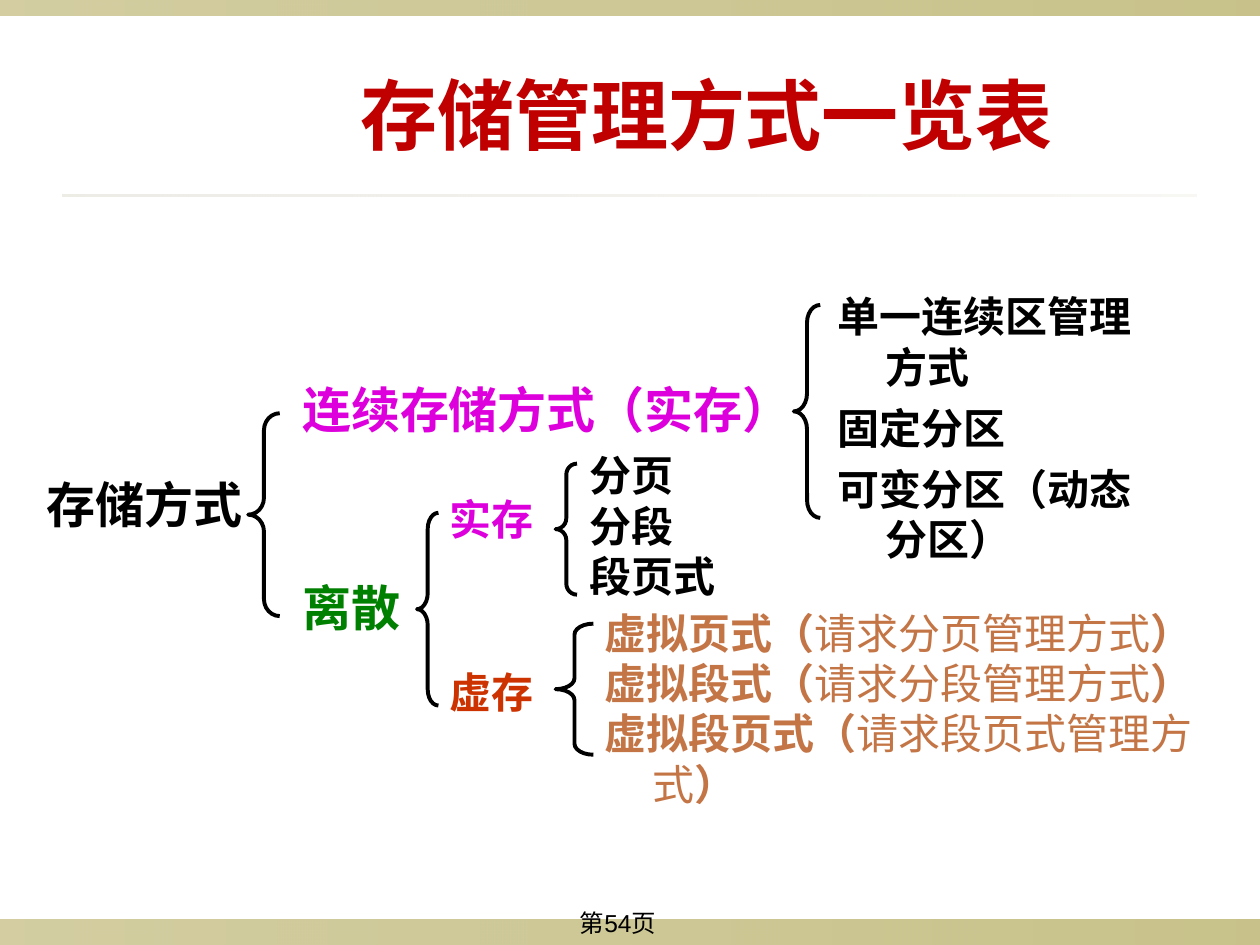
"""Build a slide that charts storage management methods as a bracketed tree."""
from dataclasses import dataclass

from lxml import etree
from pptx import Presentation
from pptx.dml.color import RGBColor
from pptx.enum import shapes, text
from pptx.oxml.ns import qn
from pptx.util import Inches, Pt


@dataclass(frozen=True)
class Theme:
    olive: str = "918415"
    rule: str = "DCD9CC"
    red: str = "C00000"
    black: str = "000000"
    magenta: str = "DD00DD"
    green: str = "008000"
    rust: str = "CC3300"
    tan: str = "C47546"
    sans: str = "Noto Sans CJK SC"
    serif: str = "Times New Roman"
    title_font: str = "Roboto"
    footer_font: str = "Arial"
    title: int = 44
    branch: int = 28
    leaf: int = 24
    footer: int = 14
    brace_line: float = 2.25
    hang: float = 0.38


T = Theme()


@dataclass(frozen=True)
class Box:
    left: float
    top: float
    width: float
    height: float

    def emu(self) -> tuple:
        return tuple(Inches(v) for v in (self.left, self.top, self.width, self.height))


@dataclass(frozen=True)
class Band:
    box: Box
    color: str
    opacity: tuple[int, int]


@dataclass(frozen=True)
class Run:
    text: str
    font: str = T.sans
    bold: bool = True


@dataclass(frozen=True)
class Label:
    box: Box
    lines: tuple[tuple[Run, ...], ...]
    size: int
    color: str = T.black
    spacing: float = 1.0
    gap: float = 0


def lines(*words: str) -> tuple[tuple[Run, ...], ...]:
    return tuple((Run(w),) for w in words)


def request_line(name: str, method: str) -> tuple[Run, ...]:
    return Run(f"{name}（"), Run(method, T.serif, False), Run("）")


BANDS = (
    Band(Box(0, 7.3, 10, 0.2), T.olive, (40, 50)),
    Band(Box(0, 0, 10, 0.12), T.olive, (40, 50)),
    Band(Box(0.5, 1.54, 9, 0.02), T.rule, (50, 20)),
)

BRACES = (
    Box(1.97, 3.28, 0.25, 1.61),
    Box(6.3, 2.42, 0.21, 1.69),
    Box(3.31, 4.07, 0.17, 1.53),
    Box(4.41, 3.68, 0.17, 1.04),
    Box(4.41, 4.95, 0.3, 1.04),
)

LABELS = (
    Label(Box(0.27, 3.67, 1.92, 0.62), lines("存储方式"), T.branch, spacing=1.1),
    Label(Box(2.3, 2.96, 4.42, 0.57), lines("连续存储方式（实存）"), T.branch, T.magenta),
    Label(Box(2.3, 4.49, 1.17, 0.62), lines("离散"), T.branch, T.green, 1.1),
    Label(
        Box(6.55, 2.26, 2.67, 2.27),
        ((Run("单一连续区管理方式", T.serif),), *lines("固定分区", "可变分区（动态分区）")),
        T.leaf,
        gap=6,
    ),
    Label(Box(3.47, 3.83, 1.17, 0.54), lines("实存"), T.leaf, T.magenta, 1.1),
    Label(Box(3.47, 5.2, 1.08, 0.54), lines("虚存"), T.leaf, T.rust, 1.1),
    Label(Box(4.58, 3.52, 1.67, 1.3), lines("分页", "分段", "段页式"), T.leaf),
    Label(
        Box(4.7, 4.77, 5.3, 1.7),
        (
            request_line("虚拟页式", "请求分页管理方式"),
            request_line("虚拟段式", "请求分段管理方式"),
            request_line("虚拟段页式", "请求段页式管理方式"),
        ),
        T.leaf,
        T.tan,
    ),
)


def add_run(p, content: str, *, font: str, size: int, color: str, bold: bool) -> None:
    r = p.add_run()
    r.text = content
    r.font.name, r.font.size, r.font.bold = font, Pt(size), bold
    r.font.color.rgb = RGBColor.from_string(color)
    latin = r.font._element.find(qn("a:latin"))
    ea = etree.Element(qn("a:ea"), typeface=T.sans)
    latin.addnext(ea)


def add_band(s, band: Band) -> None:
    sp = s.shapes.add_shape(shapes.MSO_SHAPE.RECTANGLE, *band.box.emu())
    sp.shadow.inherit = False
    sp.line.fill.background()
    sp.fill.gradient()
    sp.fill.gradient_angle = 0
    for stop in sp.fill.gradient_stops:
        stop.color.rgb = RGBColor.from_string(band.color)
    for clr, opacity in zip(sp._element.spPr.iter(qn("a:srgbClr")), band.opacity):
        etree.SubElement(clr, qn("a:alpha"), val=str(opacity * 1000))


def add_brace(s, box: Box) -> None:
    sp = s.shapes.add_shape(shapes.MSO_SHAPE.LEFT_BRACE, *box.emu())
    sp.shadow.inherit = False
    sp.fill.background()
    sp.line.color.rgb = RGBColor.from_string(T.black)
    sp.line.width = Pt(T.brace_line)
    sp.adjustments[0] = box.height / 12 / box.width


def add_label(s, label: Label) -> None:
    tf = s.shapes.add_textbox(*label.box.emu()).text_frame
    tf.word_wrap = True
    tf.auto_size = text.MSO_AUTO_SIZE.SHAPE_TO_FIT_TEXT
    for i, runs in enumerate(label.lines):
        p = tf.add_paragraph() if i else tf.paragraphs[0]
        p.line_spacing = label.spacing
        p.space_before = Pt(label.gap if i else 0)
        pPr = p._p.get_or_add_pPr()
        pPr.set("marL", str(Inches(T.hang)))
        pPr.set("indent", str(-Inches(T.hang)))
        for run in runs:
            add_run(p, run.text, font=run.font, size=label.size, color=label.color, bold=run.bold)


def add_centered(s, box: Box, content: str, *, font: str, size: int, color: str, bold: bool) -> None:
    tf = s.shapes.add_textbox(*box.emu()).text_frame
    tf.word_wrap = True
    tf.vertical_anchor = text.MSO_ANCHOR.MIDDLE
    p = tf.paragraphs[0]
    p.alignment = text.PP_ALIGN.CENTER
    add_run(p, content, font=font, size=size, color=color, bold=bold)


def main() -> None:
    prs = Presentation()
    prs.slide_width, prs.slide_height = Inches(10), Inches(7.5)
    s = prs.slides.add_slide(prs.slide_layouts[6])
    for band in BANDS:
        add_band(s, band)
    add_centered(s, Box(3.74, 7.14, 2.33, 0.36), "第54页",
                 font=T.footer_font, size=T.footer, color=T.black, bold=False)
    add_centered(s, Box(1.22, 0.28, 8.78, 1.25), "存储管理方式一览表",
                 font=T.title_font, size=T.title, color=T.red, bold=True)
    for brace in BRACES:
        add_brace(s, brace)
    for label in LABELS:
        add_label(s, label)
    prs.save("out.pptx")


if __name__ == "__main__":
    main()
